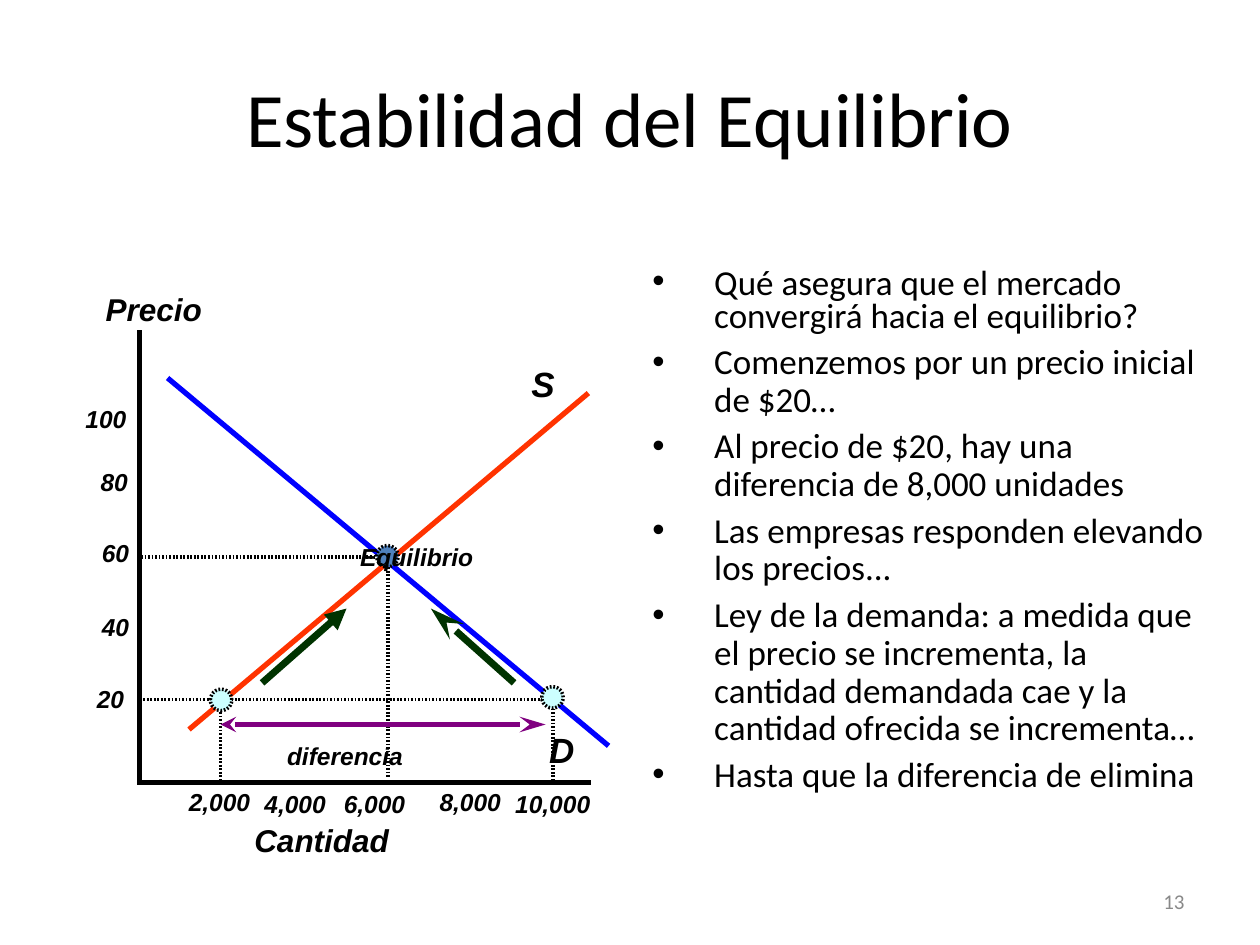
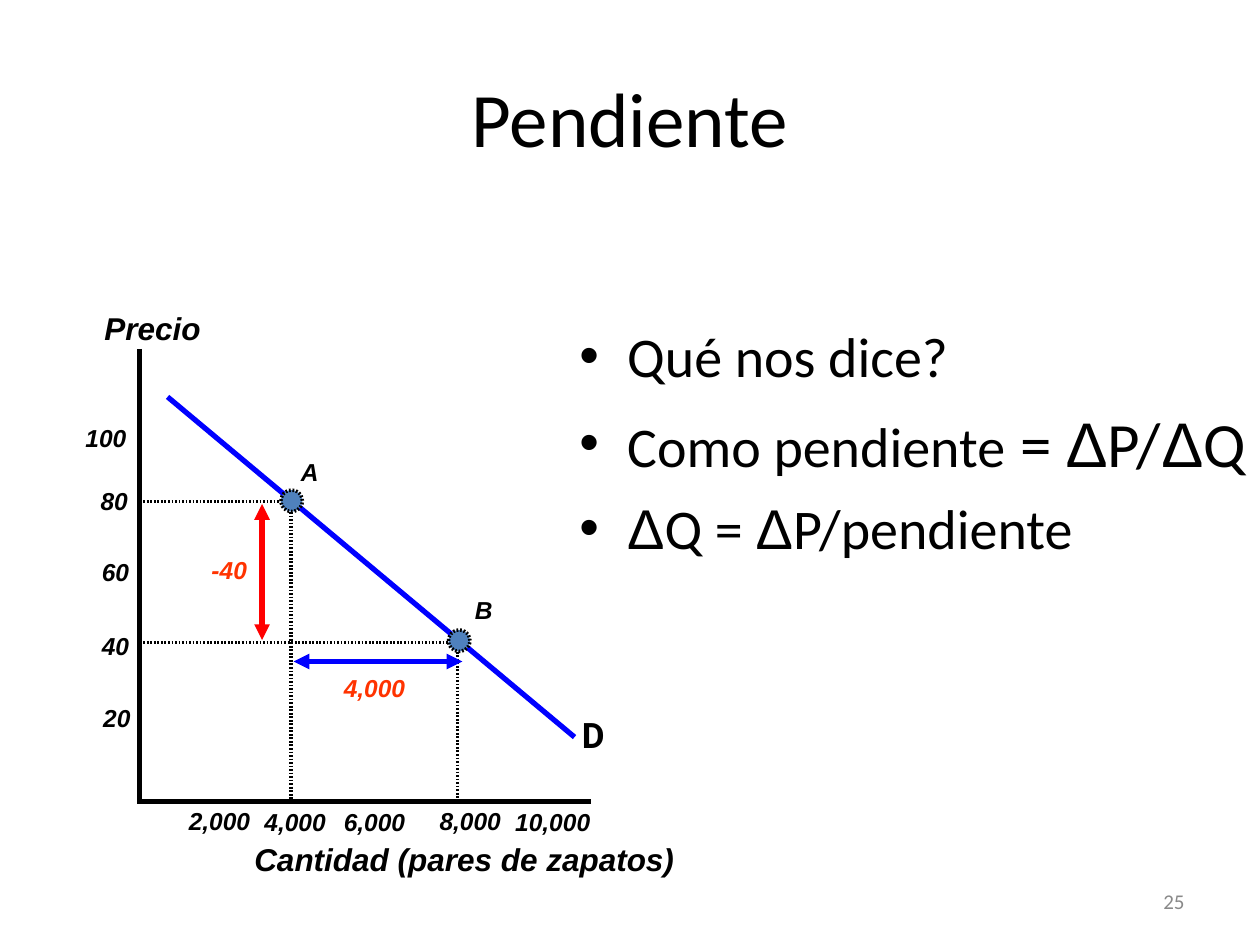
import pptx
import pptx.util
import pptx.dml.color
import pptx.enum.shapes
import pptx.enum.text
import pptx.oxml.ns

Inches = pptx.util.Inches
Pt = pptx.util.Pt
RGBColor = pptx.dml.color.RGBColor
Align = pptx.enum.text.PP_ALIGN
Anchor = pptx.enum.text.MSO_ANCHOR

BLACK = RGBColor(0x00, 0x00, 0x00)
GRAY = RGBColor(0x89, 0x89, 0x89)
BLUE = RGBColor(0x00, 0x00, 0xFF)
RED = RGBColor(0xFF, 0x00, 0x00)
ORANGE = RGBColor(0xFF, 0x33, 0x00)
PURPLE = RGBColor(0x80, 0x00, 0x80)
GREEN = RGBColor(0x00, 0x33, 0x00)
STEEL = RGBColor(0x4F, 0x81, 0xBD)
AQUA = RGBColor(0xCC, 0xFF, 0xFF)

PRICES = [("100", 0.58, 3.16, 0.52), ("80", 0.7, 3.66, 0.41),
          ("60", 0.71, 4.22, 0.41), ("40", 0.71, 4.81, 0.41)]
AMOUNTS = [("2,000", 1.4, 6.2, 0.69), ("4,000", 2, 6.21, 0.69),
           ("6,000", 2.63, 6.21, 0.69), ("8,000", 3.39, 6.2, 0.69),
           ("10,000", 3.99, 6.21, 0.79)]


def add_xml(parent, tag, **attrs):
    child = parent.makeelement(pptx.oxml.ns.qn(tag), attrs)
    parent.append(child)
    return child


class Deck:
    """Holds the shared style and the slide being built."""

    def __init__(self):
        self.file = pptx.Presentation()
        self.file.slide_width = Inches(10)
        self.file.slide_height = Inches(7.5)
        self.slide = None

    def start(self, title, number):
        self.slide = self.file.slides.add_slide(self.file.slide_layouts[5])
        head = self.slide.shapes.title
        self.place(head, 0.5, 0.3, 9, 1.25)
        head.text_frame.text = title
        head.text_frame.vertical_anchor = Anchor.MIDDLE
        para = head.text_frame.paragraphs[0]
        para.alignment = Align.CENTER
        self.style(para.runs[0], 44)
        foot = self.box(7.17, 6.95, 2.33, 0.4)
        foot.text = number
        foot.vertical_anchor = Anchor.MIDDLE
        foot.paragraphs[0].alignment = Align.RIGHT
        self.style(foot.paragraphs[0].runs[0], 12, color=GRAY)

    def place(self, shape, x, y, w, h):
        shape.left, shape.top = Inches(x), Inches(y)
        shape.width, shape.height = Inches(w), Inches(h)

    def style(self, run, size, font="Calibri", color=BLACK, bold=False, slant=False):
        run.font.size = Pt(size)
        run.font.name = font
        run.font.color.rgb = color
        run.font.bold = bold
        run.font.italic = slant

    def box(self, x, y, w, h):
        shape = self.slide.shapes.add_textbox(Inches(x), Inches(y), Inches(w), Inches(h))
        shape.text_frame.word_wrap = True
        return shape.text_frame

    def label(self, text, x, y, w, size=14, color=BLACK, font="Arial", slant=True):
        height = {14: 0.34, 18: 0.4, 20: 0.44}[size]
        frame = self.box(x, y, w, height)
        frame.margin_right = 0
        frame.text = text
        self.style(frame.paragraphs[0].runs[0], size, font, color, True, slant)

    def dash(self, shape):
        """Give an outline fine dots, half as long as the line is wide."""
        dots = add_xml(shape.get_or_add_ln(), "a:custDash")
        add_xml(dots, "a:ds", d="50000", sp="50000")

    def line(self, start, end, color=BLACK, width=3, head=None, tail=None):
        link = self.slide.shapes.add_connector(
            pptx.enum.shapes.MSO_CONNECTOR.STRAIGHT,
            *(Inches(v) for v in start + end))
        link.line.color.rgb = color
        link.line.width = Pt(width)
        if head:
            add_xml(link.get_or_add_ln(), "a:headEnd", type=head)
        if tail:
            size = "lg" if tail == "stealth" else "med"
            add_xml(link.get_or_add_ln(), "a:tailEnd", type=tail, len=size)
        add_xml(link.element.spPr, "a:effectLst")
        return link

    def guide(self, start, end):
        self.dash(self.line(start, end, width=2))

    def dot(self, x, y, fill=STEEL):
        shape = self.slide.shapes.add_shape(
            pptx.enum.shapes.MSO_SHAPE.OVAL,
            Inches(x), Inches(y), Inches(0.17), Inches(0.17))
        shape.shadow.inherit = False
        shape.fill.solid()
        shape.fill.fore_color.rgb = fill
        shape.line.color.rgb = BLACK
        shape.line.width = Pt(2)
        self.dash(shape)

    def bullet(self, para, indent, space, lines=1.0):
        para.space_before = Pt(space)
        para.line_spacing = lines
        props = para._p.get_or_add_pPr()
        props.set("marL", str(Inches(indent)))
        props.set("indent", str(-Inches(indent)))
        add_xml(add_xml(props, "a:buClr"), "a:srgbClr", val=str(BLACK))
        add_xml(props, "a:buFont", typeface="Arial")
        add_xml(props, "a:buChar", char="•")

    def axes(self, name, width, left, twenty, drop=0):
        """Draw both axes with their scales, moved down by drop."""
        self.line((1.11, 2.62 + drop), (1.11, 6.22 + drop))
        self.line((1.09, 6.21 + drop), (4.69, 6.21 + drop))
        self.label("Precio", left, 2.25 + drop, 0.96, 18)
        self.label(name, 1.92, 6.47 + drop, width, 18)
        for text, x, y, w in PRICES + [("20", twenty, 5.38, 0.41)] + AMOUNTS:
            self.label(text, x, y + drop, w)


def balance(deck):
    deck.start("Estabilidad del Equilibrio", "13")
    points = [
        "Qué asegura que el mercado convergirá hacia el equilibrio?",
        "Comenzemos por un precio inicial de $20…",
        "Al precio de $20, hay una diferencia de 8,000 unidades",
        "Las empresas responden elevando los precios...",
        "Ley de la demanda: a medida que el precio se incrementa, la cantidad "
        "demandada cae y la cantidad ofrecida se incrementa…",
        "Hasta que la diferencia de elimina",
    ]
    frame = deck.box(5.08, 2.08, 4.58, 4.54)
    frame.text = "\n".join(points)
    for i, para in enumerate(frame.paragraphs):
        deck.bullet(para, 0.49, 5, 0.9 if i else 0.8)
        deck.style(para.runs[0], 20)

    deck.axes("Cantidad", 1.27, 0.74, 0.67)
    deck.label("D", 4.26, 5.73, 1.38, 20)
    deck.line((1.33, 3), (4.83, 5.92), BLUE)
    deck.line((1.5, 5.79), (4.67, 3.12), ORANGE)
    deck.label("S", 4.12, 2.83, 1.36, 20)
    deck.guide((1.12, 4.42), (3.08, 4.42))
    deck.guide((3.08, 4.42), (3.08, 6.17))
    deck.dot(2.99, 4.33)
    deck.label("Equilibrio", 2.76, 4.25, 2.08)
    deck.guide((1.11, 5.55), (4.36, 5.55))
    for x in (4.39, 1.75):
        deck.guide((x, 5.54), (x, 6.19))
    deck.line((1.75, 5.75), (4.33, 5.75), PURPLE, head="stealth", tail="stealth")
    deck.label("diferencia", 2.18, 5.83, 2.1)
    deck.dot(1.67, 5.47, AQUA)
    deck.dot(4.3, 5.45, AQUA)
    deck.line((2.08, 5.42), (2.75, 4.83), GREEN, 4, tail="triangle")
    deck.line((4.08, 5.42), (3.42, 4.83), GREEN, 4, tail="stealth")


def slope(deck):
    deck.start("Pendiente", "25")
    points = [
        (8, [("Qué nos dice?", 32)]),
        (9, [("Como pendiente", 32), (" = ", 36), ("Δ", 36), ("P/", 36),
             ("Δ", 36), ("Q", 36)]),
        (8, [("Δ", 32), ("Q = ", 32), ("Δ", 32), ("P/pendiente", 32)]),
    ]
    frame = deck.box(4.5, 2.5, 6, 4.38)
    for i, (space, parts) in enumerate(points):
        para = frame.add_paragraph() if i else frame.paragraphs[0]
        deck.bullet(para, 0.38, space)
        for text, size in parts:
            run = para.add_run()
            run.text = text
            deck.style(run, size, "Arial" if text == "Δ" else "Calibri")

    deck.line((1.33, 3.15), (4.56, 5.85), BLUE)
    deck.guide((1.11, 3.98), (2.33, 3.98))
    deck.guide((1.11, 5.1), (3.66, 5.1))
    deck.guide((2.31, 3.98), (2.31, 6.38))
    deck.guide((3.63, 5.09), (3.63, 6.37))
    deck.axes("Cantidad (pares de zapatos)", 3.53, 0.73, 0.72, drop=0.15)
    deck.dot(2.23, 3.89)
    deck.label("A", 2.29, 3.58, 0.34)
    deck.label("B", 3.67, 4.67, 0.34)
    deck.label("D", 4.52, 5.61, 0.4, 20, font="Roboto", slant=False)
    deck.dot(3.56, 5)
    for start, end, color in (((2.08, 4), (2.08, 5.08), RED),
                              ((2.33, 5.25), (3.67, 5.25), BLUE)):
        deck.line(start, end, color, head="triangle", tail="triangle")
    deck.label("-40", 1.58, 4.36, 0.48, color=ORANGE)
    deck.label("4,000", 2.63, 5.29, 0.69, color=ORANGE)


def main():
    deck = Deck()
    balance(deck)
    slope(deck)
    deck.file.save("out.pptx")


if __name__ == "__main__":
    main()
